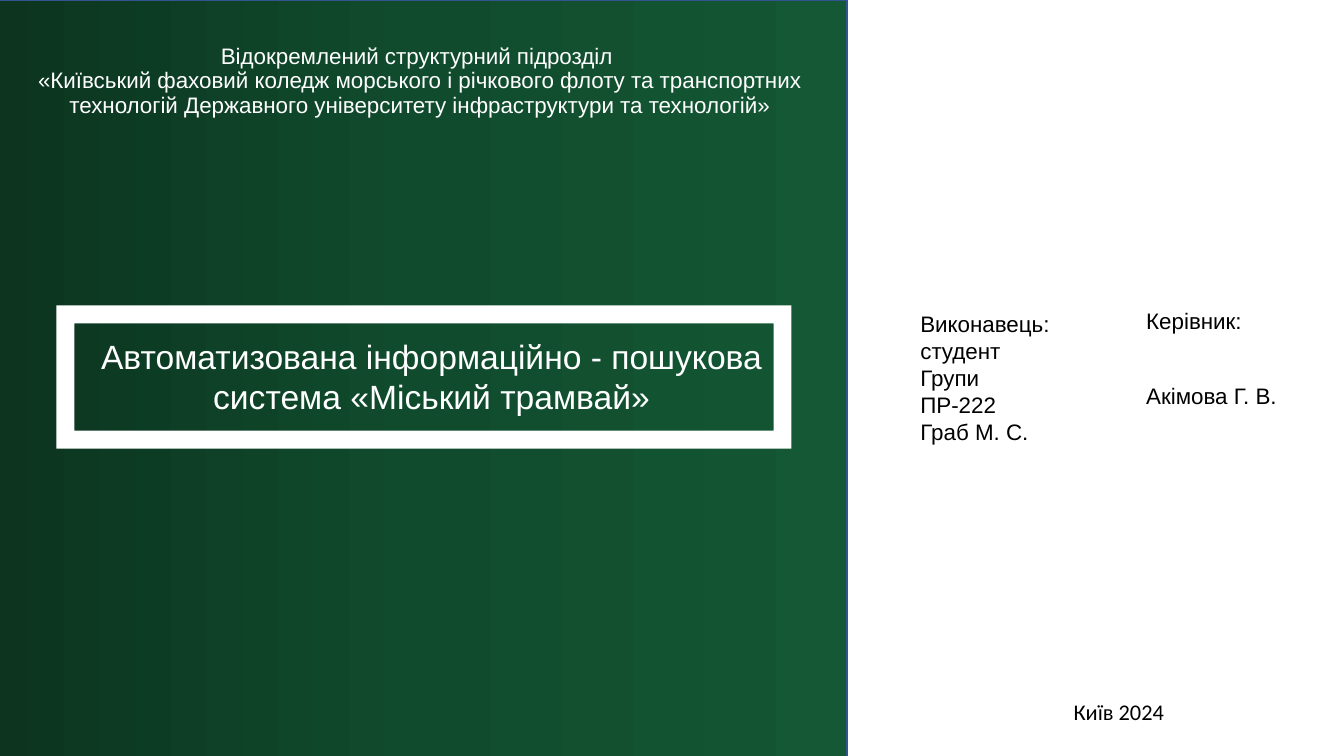
from copy import deepcopy

from lxml import etree
from pptx import Presentation
from pptx.dml.color import RGBColor
from pptx.enum.shapes import MSO_SHAPE
from pptx.enum.text import MSO_ANCHOR, PP_ALIGN
from pptx.oxml.ns import qn
from pptx.util import Inches, Pt

RECT, FRAME = MSO_SHAPE.RECTANGLE, MSO_SHAPE.FRAME
TOP, MIDDLE = MSO_ANCHOR.TOP, MSO_ANCHOR.MIDDLE
LEFT, CENTER = PP_ALIGN.LEFT, PP_ALIGN.CENTER

WHITE = RGBColor(0xFF, 0xFF, 0xFF)
BLACK = RGBColor(0x00, 0x00, 0x00)
OUTLINE_BLUE = RGBColor(0x32, 0x54, 0x91)
GREENS = (RGBColor(0x0C, 0x34, 0x1F), RGBColor(0x10, 0x4B, 0x2D), RGBColor(0x14, 0x58, 0x35))


def write_text(frame, text, size=16, font="Arial", color=BLACK, align=LEFT,
               line_spacing=1.0, gap=0):
    """Each line is a paragraph; a vertical tab breaks a line within one."""
    for index, line in enumerate(text.split("\n")):
        paragraph = frame.add_paragraph() if index else frame.paragraphs[0]
        paragraph.text = line
        paragraph.alignment = align
        paragraph.line_spacing = line_spacing
        paragraph.space_before = Pt(gap if index else 0)
        for run in paragraph.runs:
            run.font.size = Pt(size)
            run.font.name = font
            run.font.color.rgb = color
        for line_break in paragraph._p.findall(qn("a:br")):
            etree.SubElement(line_break, qn("a:rPr")).set("sz", str(size * 100))


class TitleSlide:
    def __init__(self, presentation):
        self.shapes = presentation.slides.add_slide(presentation.slide_layouts[6]).shapes

    def shape(self, kind, *box):
        shape = self.shapes.add_shape(kind, *map(Inches, box))
        shape.shadow.inherit = False
        return shape

    def gradient_panel(self, *box, colors, outline):
        panel = self.shape(RECT, *box)
        panel.fill.gradient()
        panel.fill.gradient_angle = 0
        stop_list = panel._element.spPr.find(".//" + qn("a:gsLst"))
        stop_list.insert(1, deepcopy(stop_list[0]))
        for index, (stop, color) in enumerate(zip(panel.fill.gradient_stops, colors)):
            stop.position = index / (len(colors) - 1)
            stop.color.rgb = color
        panel.line.color.rgb = outline
        panel.line.width = Pt(1)

    def border_frame(self, *box, color):
        border = self.shape(FRAME, *box)
        border.fill.solid()
        border.fill.fore_color.rgb = color
        border.line.fill.background()

    def text(self, text, *box, anchor=TOP, **text_format):
        frame = self.shapes.add_textbox(*map(Inches, box)).text_frame
        frame.word_wrap = True
        frame.vertical_anchor = anchor
        write_text(frame, text, **text_format)


def main():
    presentation = Presentation()
    presentation.slide_width = Inches(13.33)
    presentation.slide_height = Inches(7.5)
    slide = TitleSlide(presentation)

    # Green half with the college name
    slide.gradient_panel(-0.07, 0, 8.47, 7.56, colors=GREENS, outline=OUTLINE_BLUE)
    slide.text("Відокремлений структурний підрозділ \v«Київський фаховий коледж морського "
               "і річкового флоту та транспортних технологій Державного університету "
               "інфраструктури та технологій»",
               -0.07, 0.22, 8.47, 1.18, anchor=MIDDLE, color=WHITE, align=CENTER,
               line_spacing=0.9)

    # Framed project title
    slide.text("Автоматизована інформаційно - пошукова система «Міський трамвай»",
               0.79, 3.28, 6.98, 0.91, size=24, color=WHITE, align=CENTER)
    slide.border_frame(0.56, 3.03, 7.29, 1.42, color=WHITE)

    # Author, supervisor, place and year
    slide.text("Виконавець:\nстудент\nГрупи ПР-222\nГраб М. С.", 9.03, 3.03, 1.51, 1.18)
    slide.text("Керівник:\nАкімова Г. В.", 11.27, 3.03, 1.51, 1.18,
               line_spacing=0.9, gap=36.5)
    slide.text("Київ 2024", 10.55, 6.88, 1.12, 0.37, font="Calibri")

    presentation.save("out.pptx")


if __name__ == "__main__":
    main()
